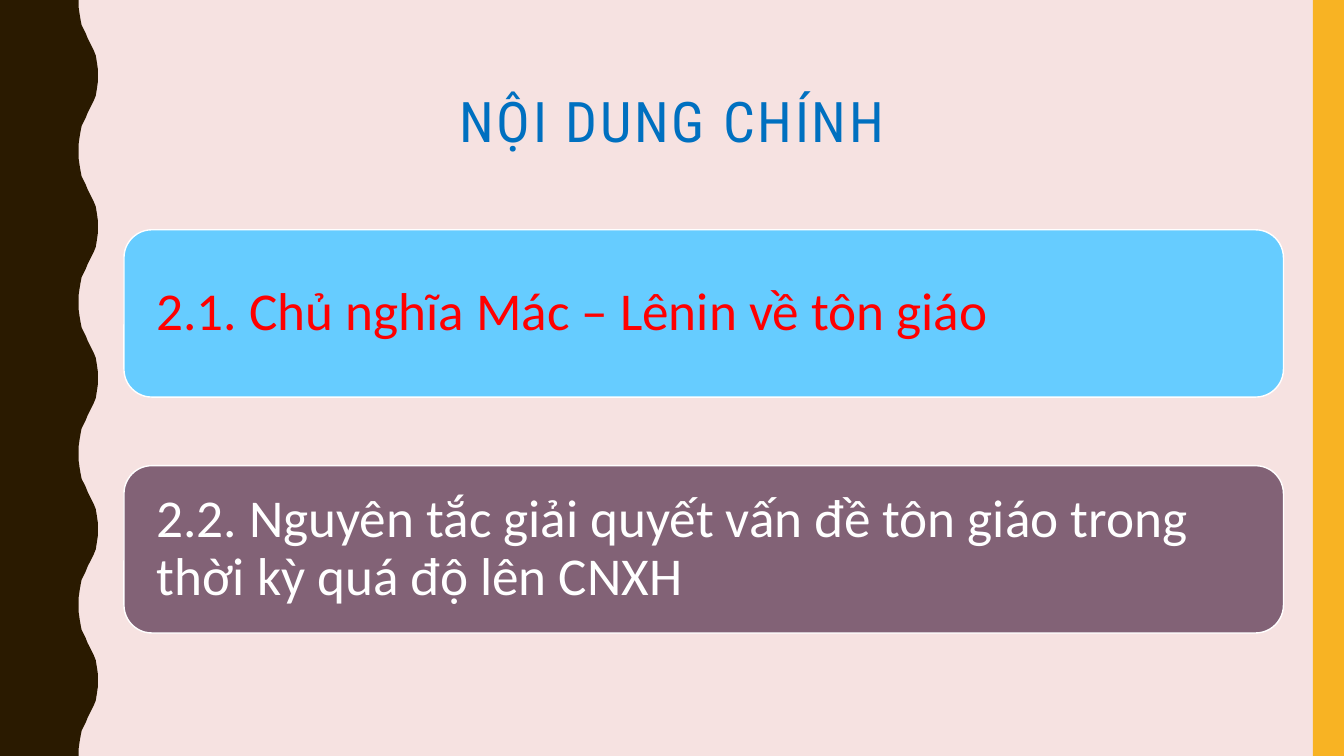
from pptx import Presentation
from pptx.dml.color import RGBColor
from pptx.enum.shapes import MSO_SHAPE
from pptx.enum.text import MSO_ANCHOR, PP_ALIGN
from pptx.util import Inches, Pt

RECTANGLE = MSO_SHAPE.RECTANGLE
ROUNDED = MSO_SHAPE.ROUNDED_RECTANGLE
MIDDLE = MSO_ANCHOR.MIDDLE
TOP = MSO_ANCHOR.TOP
LEFT = PP_ALIGN.LEFT
CENTER = PP_ALIGN.CENTER

COLORS = {
    "background": "F6E2E1",
    "wave": "2A1A00",
    "stripe": "F8B323",
    "title": "0070C0",
    "sky": "66CCFF",
    "plum": "826276",
    "red": "FF0000",
    "white": "FFFFFF",
}
SLIDE_WIDTH, SLIDE_HEIGHT = 13.33, 7.5
HALF_WAVE = 0.75
WAVE_CURVE = [
    (0.78, 0), (0.78, 0.07), (0.79, 0.14), (0.8, 0.2), (0.81, 0.25),
    (0.83, 0.29), (0.85, 0.33), (0.87, 0.38), (0.89, 0.42), (0.91, 0.46),
    (0.93, 0.5), (0.95, 0.55), (0.96, 0.61), (0.97, 0.68), (0.97, 0.75),
]
TOPICS = [
    ("2.1. Chủ nghĩa Mác – Lênin về tôn giáo", "sky", "red"),
    ("2.2. Nguyên tắc giải quyết vấn đề tôn giáo trong thời kỳ quá độ lên CNXH",
     "plum", "white"),
]
TOPIC_TOP, TOPIC_STEP = 2.28, 2.34


def color(name):
    """Return the named palette colour."""
    return RGBColor.from_string(COLORS[name])


def paint(shape, fill):
    """Give a shape a flat fill without line or shadow."""
    shape.shadow.inherit = False
    shape.fill.solid()
    shape.fill.fore_color.rgb = color(fill)
    shape.line.fill.background()


def write(shape, text, font_name, size, font_color, align, anchor):
    """Write one formatted paragraph into a shape and return its run."""
    frame = shape.text_frame
    frame.text = text
    frame.word_wrap = True
    frame.vertical_anchor = anchor
    paragraph = frame.paragraphs[0]
    paragraph.alignment = align
    paragraph.line_spacing = 0.9
    run = paragraph.runs[0]
    run.font.name = font_name
    run.font.size = Pt(size)
    run.font.color.rgb = color(font_color)
    return run


def add_wave(slide):
    """Draw the dark band with a wavy right edge."""
    edge = []
    for half in range(round(SLIDE_HEIGHT / HALF_WAVE)):
        start = half * HALF_WAVE
        if half % 2:
            edge += [(x, start + HALF_WAVE - y) for x, y in reversed(WAVE_CURVE)]
        else:
            edge += [(x, start + y) for x, y in WAVE_CURVE]
    outline = [(Inches(x), Inches(y)) for x, y in edge + [(0, SLIDE_HEIGHT)]]
    builder = slide.shapes.build_freeform(0, 0)
    builder.add_line_segments(outline, close=True)
    paint(builder.convert_to_shape(), "wave")


def add_stripe(slide):
    """Draw the yellow stripe along the right edge."""
    stripe = slide.shapes.add_shape(
        RECTANGLE, Inches(13.02), 0, Inches(0.31), Inches(SLIDE_HEIGHT))
    paint(stripe, "stripe")


def add_title(slide, text):
    """Add the centred, letter-spaced title."""
    title = slide.shapes.add_textbox(
        Inches(1.05), Inches(0.88), Inches(11.23), Inches(0.88))
    run = write(title, text, "Roboto Condensed", 40, "title", CENTER, TOP)
    run.font._element.set("spc", "200")


def add_topic(slide, top, text, fill, font_color):
    """Add a rounded topic card."""
    card = slide.shapes.add_shape(
        ROUNDED, Inches(1.23), Inches(top), Inches(11.5), Inches(1.66))
    paint(card, fill)
    card.line.color.rgb = color("white")
    card.line.width = Pt(1)
    frame = card.text_frame
    frame.margin_left = frame.margin_right = Inches(0.24)
    frame.margin_top = frame.margin_bottom = Inches(0.24)
    write(card, text, "Calibri", 38, font_color, LEFT, MIDDLE)


def main():
    """Build and save the slide."""
    deck = Presentation()
    deck.slide_width = Inches(SLIDE_WIDTH)
    deck.slide_height = Inches(SLIDE_HEIGHT)
    slide = deck.slides.add_slide(deck.slide_layouts[6])
    slide.background.fill.solid()
    slide.background.fill.fore_color.rgb = color("background")
    add_wave(slide)
    add_stripe(slide)
    add_title(slide, "NỘI DUNG CHÍNH")
    for index, topic in enumerate(TOPICS):
        add_topic(slide, TOPIC_TOP + index * TOPIC_STEP, *topic)
    deck.save("out.pptx")


if __name__ == "__main__":
    main()
